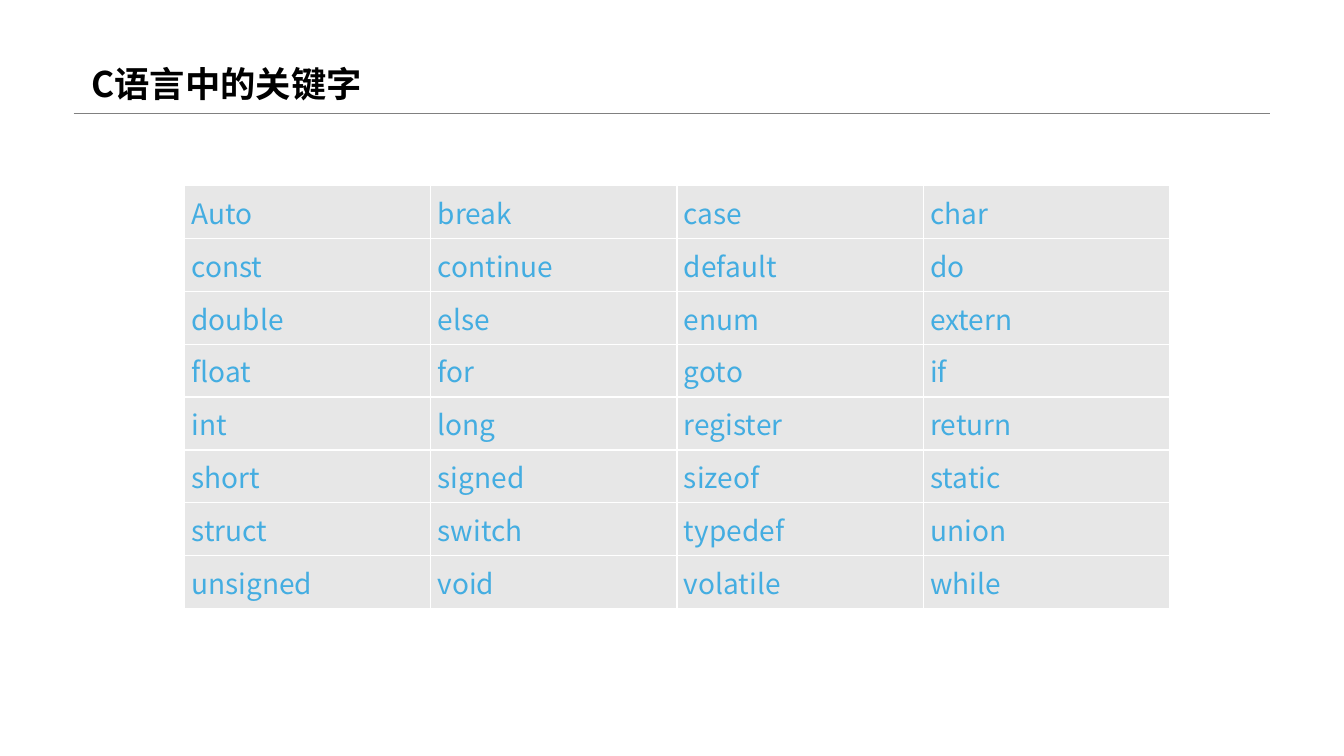
"""Build a slide with a table of the C language keywords."""
from lxml.etree import SubElement
from pptx import Presentation
from pptx.dml.color import RGBColor
from pptx.enum.shapes import MSO_CONNECTOR
from pptx.enum.text import MSO_ANCHOR as ANCHOR, PP_ALIGN as ALIGN
from pptx.oxml.ns import qn
from pptx.util import Inches, Pt

BLACK = RGBColor(0x00, 0x00, 0x00)
GRAY = RGBColor(0x80, 0x80, 0x80)
LIGHT_GRAY = RGBColor(0xE7, 0xE7, 0xE7)
WHITE = RGBColor(0xFF, 0xFF, 0xFF)
BLUE = RGBColor(0x44, 0xAD, 0xE1)
FONT = "Noto Sans CJK SC"

KEYWORDS = [
    "Auto break case char",
    "const continue default do",
    "double else enum extern",
    "float for goto if",
    "int long register return",
    "short signed sizeof static",
    "struct switch typedef union",
    "unsigned void volatile while",
]
COLS = 4


def write(tf, text, size, color, bold=False, align=ALIGN.LEFT, spacing=None):
    p = tf.paragraphs[0]
    p.alignment = align
    p.line_spacing = spacing
    r = p.add_run()
    r.text = text
    r.font.size = Pt(size)
    r.font.bold = bold
    r.font.color.rgb = color
    r.font.name = FONT
    SubElement(r.font._element, qn("a:ea"), typeface=FONT)


def add_borders(cell, color, width):
    tc_pr = cell._tc.get_or_add_tcPr()
    for side in ("lnL", "lnR", "lnT", "lnB"):
        ln = SubElement(tc_pr, qn(f"a:{side}"), w=str(Pt(width)))
        fill = SubElement(ln, qn("a:solidFill"))
        SubElement(fill, qn("a:srgbClr"), val=str(color))


prs = Presentation()
prs.slide_width = Inches(13.33)
prs.slide_height = Inches(7.5)
s = prs.slides.add_slide(prs.slide_layouts[6])

rule = s.shapes.add_connector(MSO_CONNECTOR.STRAIGHT, Inches(0.73), Inches(1.12),
                              Inches(12.6), Inches(1.12))
rule.line.color.rgb = GRAY
rule.line.width = Pt(0.25)
SubElement(rule._element.spPr, qn("a:effectLst"))

title = s.shapes.add_textbox(Inches(0.81), Inches(0.12), Inches(3.03), Inches(0.97))
tf = title.text_frame
tf.word_wrap = True
tf.vertical_anchor = ANCHOR.BOTTOM
write(tf, "C语言中的关键字", size=25.2, color=BLACK, bold=True, spacing=1.2)

table = s.shapes.add_table(len(KEYWORDS), COLS, Inches(1.83), Inches(1.84),
                           Inches(9.77), Inches(4.2)).table
table.first_row = False
table.horz_banding = False
for row, line in enumerate(KEYWORDS):
    for col, keyword in enumerate(line.split()):
        cell = table.cell(row, col)
        add_borders(cell, WHITE, width=1)
        cell.fill.solid()
        cell.fill.fore_color.rgb = LIGHT_GRAY
        cell.vertical_anchor = ANCHOR.MIDDLE
        cell.margin_left = cell.margin_right = Inches(0.07)
        cell.margin_top = cell.margin_bottom = 0
        write(cell.text_frame, keyword, size=20, color=BLUE, align=ALIGN.JUSTIFY)

prs.save("out.pptx")
